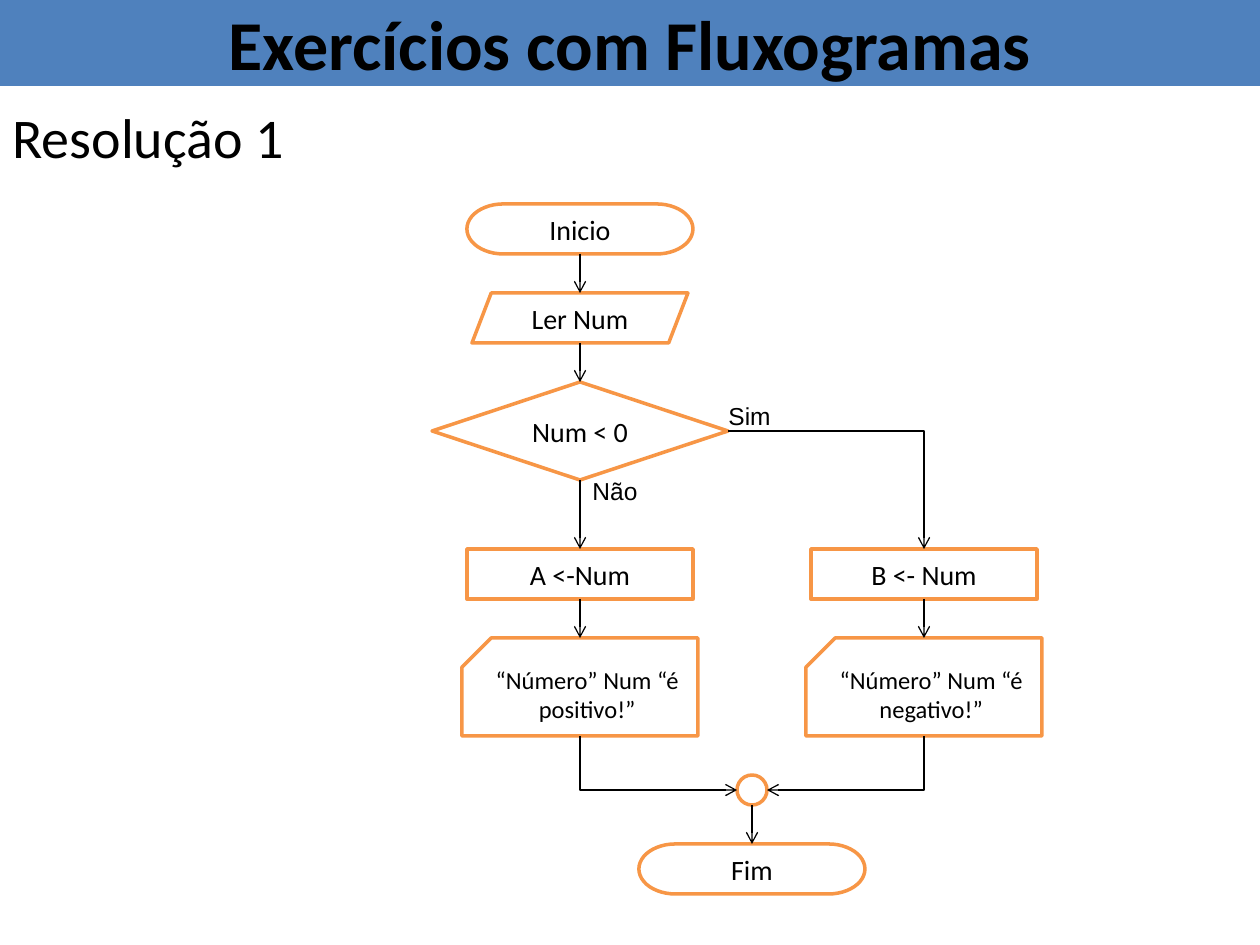
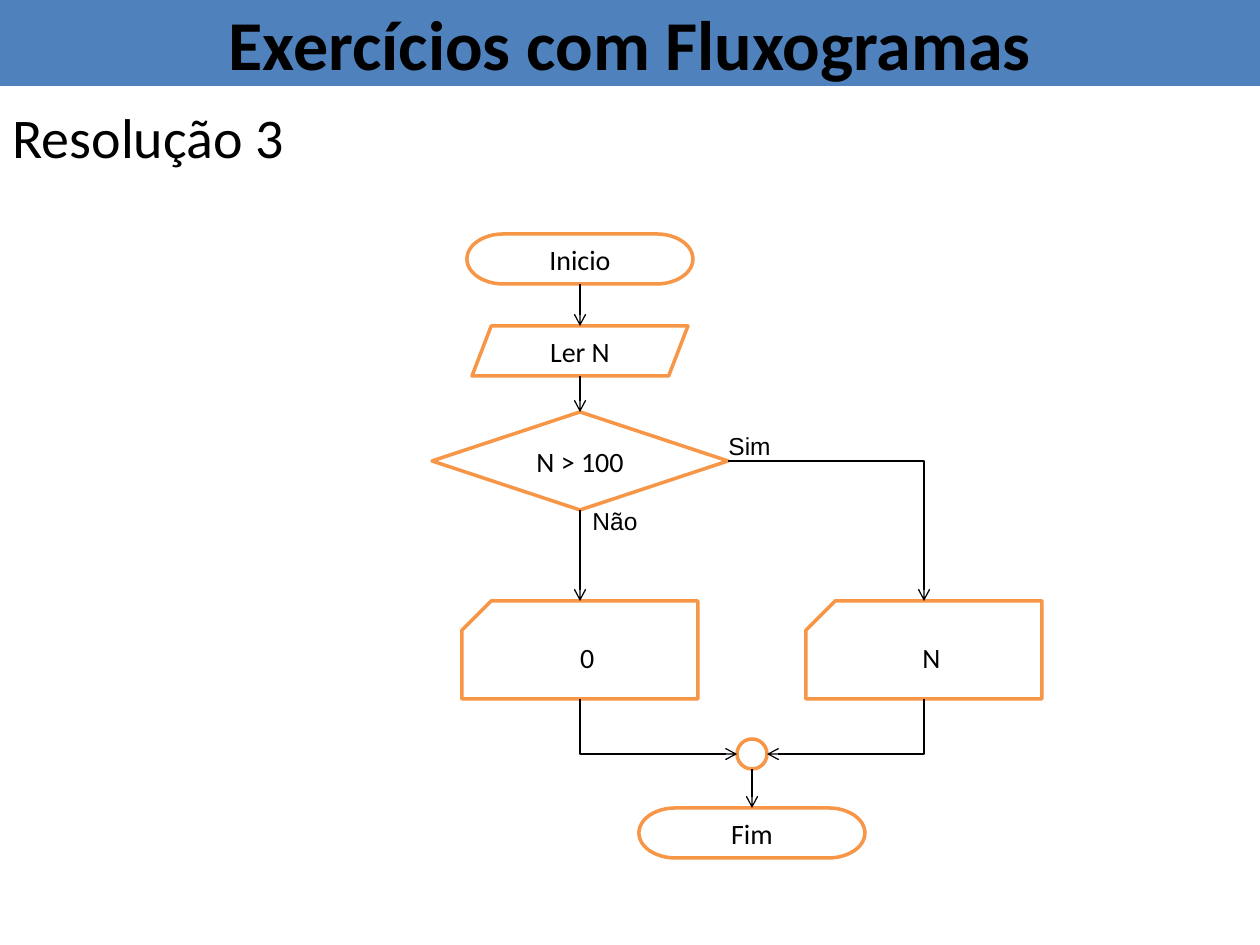
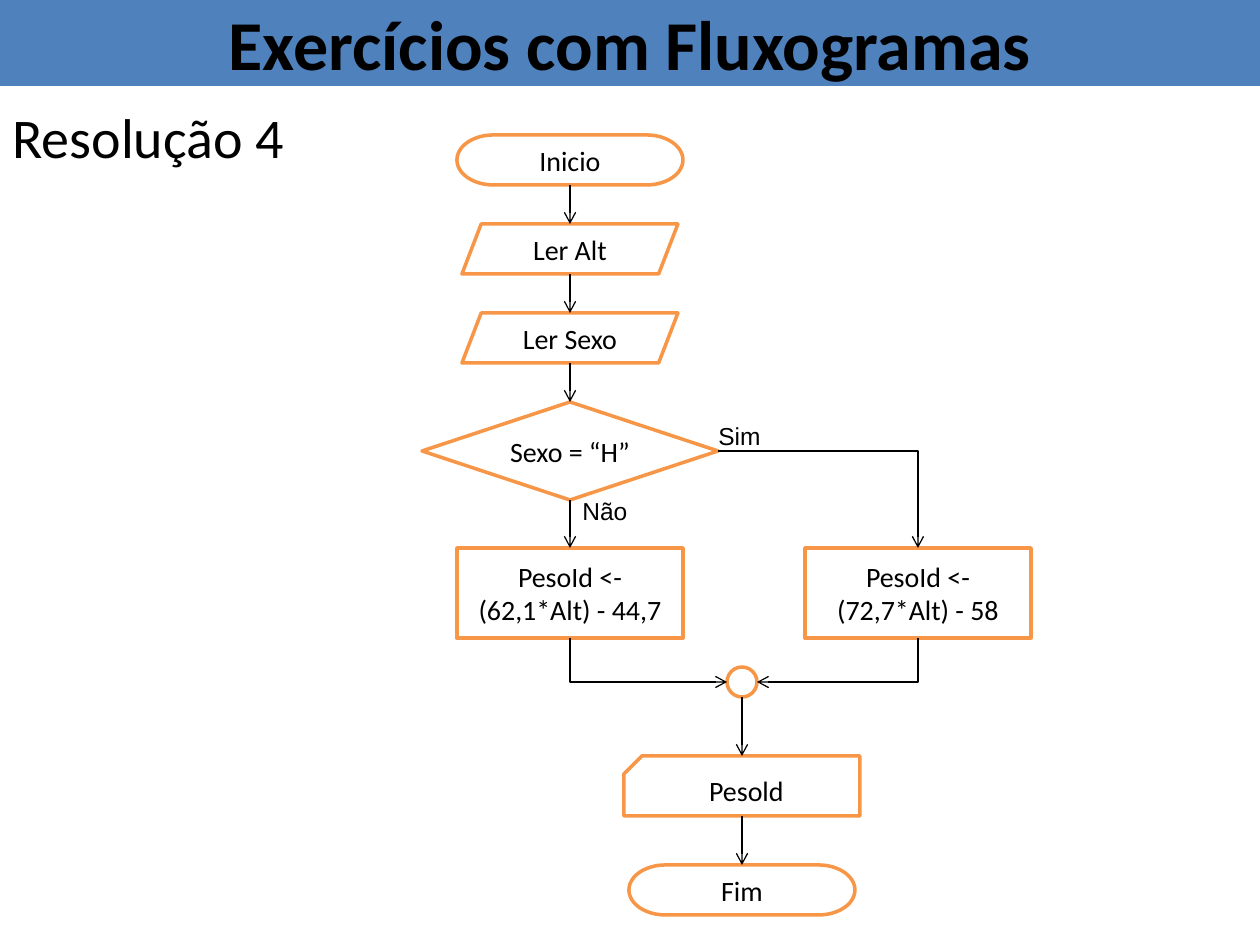
from dataclasses import dataclass

from lxml.etree import SubElement
from pptx import Presentation
from pptx.dml.color import RGBColor
from pptx.enum.shapes import MSO_CONNECTOR, MSO_SHAPE
from pptx.enum.text import MSO_ANCHOR, MSO_AUTO_SIZE, PP_ALIGN
from pptx.oxml.ns import qn
from pptx.util import Emu, Pt

STRAIGHT = MSO_CONNECTOR.STRAIGHT
ELBOW = MSO_CONNECTOR.ELBOW
RECTANGLE = MSO_SHAPE.RECTANGLE
TERMINATOR = MSO_SHAPE.FLOWCHART_TERMINATOR
DECISION = MSO_SHAPE.FLOWCHART_DECISION
PROCESS = MSO_SHAPE.FLOWCHART_PROCESS
JUNCTION = MSO_SHAPE.FLOWCHART_CONNECTOR
INPUT = MSO_SHAPE.PARALLELOGRAM
CARD = MSO_SHAPE.SNIP_1_RECTANGLE
CENTER = PP_ALIGN.CENTER
LEFT = PP_ALIGN.LEFT
MIDDLE = MSO_ANCHOR.MIDDLE
GROW = MSO_AUTO_SIZE.SHAPE_TO_FIT_TEXT
TOP_SITE, BOTTOM_SITE = 0, 2


@dataclass(frozen=True)
class Theme:
    band: RGBColor = RGBColor(0x4F, 0x81, 0xBD)
    outline: RGBColor = RGBColor(0xF7, 0x96, 0x46)
    paper: RGBColor = RGBColor(0xFF, 0xFF, 0xFF)
    ink: RGBColor = RGBColor(0, 0, 0)
    face: str = "Calibri"
    label_face: str = "Arial"
    title: int = 40
    heading: int = 32
    step: int = 16
    small: int = 14
    outline_width: float = 2
    arrow_width: float = 0.75


THEME = Theme()
TITLE = "Exercícios com Fluxogramas"

# kind: (shape, width px, height px, text size, adjustment)
KINDS = {
    "terminal": (TERMINATOR, 226, 50, THEME.step, None),
    "input": (INPUT, 216, 50, THEME.step, 0.385),
    "decision": (DECISION, 296, 98, THEME.step, None),
    "process": (PROCESS, 226, 50, THEME.step, None),
    "formula": (PROCESS, 226, 90, THEME.step, None),
    "output": (CARD, 236, 98, THEME.step, 0.298),
    "message": (CARD, 236, 98, THEME.small, 0.298),
    "result": (CARD, 236, 60, THEME.step, 0.298),
    "junction": (JUNCTION, 30, 30, THEME.step, None),
}
JOINABLE = {"terminal", "decision", "process", "formula"}

# Each step is (gap above in px, kind, text); a branch step has a "Não" and a "Sim" text.
# centers holds the x of the "Não" column, the "Sim" column and the ending.
CHARTS = [
    {
        "heading": "Resolução 1",
        "top": 204,
        "centers": (580, 924, 752),
        "stem": [(0, "terminal", "Inicio"), (39, "input", "Ler Num"),
                 (39, "decision", "Num < 0")],
        "branches": [(69, "process", "A <-Num", "B <- Num"),
                     (39, "message", "“Número” Num “é positivo!”",
                      "“Número” Num “é negativo!”")],
        "ending": [(39, "junction", ""), (39, "terminal", "Fim")],
    },
    {
        "heading": "Resolução 3",
        "top": 234,
        "centers": (580, 924, 752),
        "stem": [(0, "terminal", "Inicio"), (42, "input", "Ler N"),
                 (36, "decision", "N > 100")],
        "branches": [(91, "output", "0", "N")],
        "ending": [(40, "junction", ""), (39, "terminal", "Fim")],
    },
    {
        "heading": "Resolução 4",
        "top": 135,
        "centers": (570, 918, 742),
        "stem": [(0, "terminal", "Inicio"), (39, "input", "Ler Alt"),
                 (39, "input", "Ler Sexo"), (39, "decision", "Sexo = “H”")],
        "branches": [(48, "formula", "PesoId <- (62,1*Alt) - 44,7",
                      "PesoId <- (72,7*Alt) - 58")],
        "ending": [(29, "junction", ""), (59, "result", "Pesold"),
                   (49, "terminal", "Fim")],
    },
]


@dataclass
class Step:
    """A drawn step with its place in px."""
    shape: object
    kind: str
    center: int
    top: int
    width: int
    height: int

    @property
    def middle(self):
        return self.top + self.height // 2

    @property
    def bottom(self):
        return self.top + self.height


def px(length):
    return Emu(round(length * 914400 / 126))


def box(*lengths):
    return [px(length) for length in lengths]


def write(frame, text, size, face=THEME.face, align=CENTER, bold=False):
    frame.text = text
    paragraph = frame.paragraphs[0]
    paragraph.alignment = align
    font = paragraph.font
    font.name, font.size, font.bold = face, Pt(size), bold
    font.color.rgb = THEME.ink


def add_title(slide):
    band = slide.shapes.add_shape(RECTANGLE, *box(0, 0, 1260, 86))
    band.shadow.inherit = False
    band.fill.solid()
    band.fill.fore_color.rgb = THEME.band
    band.line.fill.background()
    band.text_frame.vertical_anchor = MIDDLE
    write(band.text_frame, TITLE, THEME.title, bold=True)


def add_heading(slide, text):
    frame = slide.shapes.add_textbox(*box(0, 96, 1216, 100)).text_frame
    frame.word_wrap = True
    paragraph = frame.paragraphs[0]
    paragraph.space_before = Pt(0.2 * THEME.heading)
    properties = paragraph._p.get_or_add_pPr()
    properties.set("marL", str(px(48)))
    properties.set("indent", str(px(-48)))
    bullet_color = SubElement(properties, qn("a:buClr"))
    SubElement(bullet_color, qn("a:srgbClr"), val=str(THEME.band))
    SubElement(properties, qn("a:buFont"), typeface=THEME.label_face)
    SubElement(properties, qn("a:buChar"), char="➢")
    write(frame, text, THEME.heading, align=LEFT)


def add_label(slide, text, left, top, width):
    label = slide.shapes.add_textbox(*box(left, top, width, 42))
    label.text_frame.word_wrap = False
    label.text_frame.auto_size = GROW
    write(label.text_frame, text, THEME.small, THEME.label_face, LEFT)


def add_step(slide, kind, text, center, top):
    preset, width, height, size, adjustment = KINDS[kind]
    shape = slide.shapes.add_shape(preset, *box(center - width // 2, top, width, height))
    shape.shadow.inherit = False
    shape.fill.solid()
    shape.fill.fore_color.rgb = THEME.paper
    shape.line.color.rgb = THEME.outline
    shape.line.width = Pt(THEME.outline_width)
    if adjustment is not None:
        shape.adjustments[0] = adjustment
    if preset == CARD:
        shape._element.spPr.find(qn("a:xfrm")).set("flipH", "1")
    if text:
        shape.text_frame.vertical_anchor = MIDDLE
        write(shape.text_frame, text, size)
    return Step(shape, kind, center, top, width, height)


def style_arrow(arrow):
    arrow.line.color.rgb = THEME.ink
    arrow.line.width = Pt(THEME.arrow_width)
    properties = arrow._element.spPr
    SubElement(properties.find(qn("a:ln")), qn("a:tailEnd"), type="arrow")
    SubElement(properties, qn("a:effectLst"))


def link_down(slide, upper, lower):
    arrow = slide.shapes.add_connector(
        STRAIGHT, *box(upper.center, upper.bottom, lower.center, lower.top))
    if upper.kind in JOINABLE:
        arrow.begin_connect(upper.shape, BOTTOM_SITE)
    if lower.kind in JOINABLE:
        arrow.end_connect(lower.shape, TOP_SITE)
    style_arrow(arrow)


def link_corner(slide, start, end, down_first):
    """Draw an arrow with one right-angled turn; end lies below start."""
    (x1, y1), (x2, y2) = start, end
    width, height = abs(x2 - x1), y2 - y1
    middle_x, middle_y = (x1 + x2) / 2, (y1 + y2) / 2
    if down_first:
        width, height = height, width
    left, top = middle_x - width / 2, middle_y - height / 2
    arrow = slide.shapes.add_connector(ELBOW, *box(left, top, left + width, top + height))
    properties = arrow._element.spPr
    properties.find(qn("a:prstGeom")).set("prst", "bentConnector2")
    if down_first:
        quarter_turns = 1 if x2 < x1 else 3
        frame = properties.find(qn("a:xfrm"))
        frame.set("rot", str(quarter_turns * 90 * 60000))
        if x2 > x1:
            frame.set("flipH", "1")
    style_arrow(arrow)


def add_column(slide, steps, center, top):
    """Stack the steps below top, linked by arrows."""
    column = []
    for gap, kind, text in steps:
        step = add_step(slide, kind, text, center, top + gap)
        if column:
            link_down(slide, column[-1], step)
        column.append(step)
        top = step.bottom
    return column


def add_flowchart(slide, chart):
    no_center, yes_center, end_center = chart["centers"]
    decision = add_column(slide, chart["stem"], no_center, chart["top"])[-1]
    no_steps = [(gap, kind, no) for gap, kind, no, yes in chart["branches"]]
    yes_steps = [(gap, kind, yes) for gap, kind, no, yes in chart["branches"]]
    no_column = add_column(slide, no_steps, no_center, decision.bottom)
    yes_column = add_column(slide, yes_steps, yes_center, decision.bottom)
    junction = add_column(slide, chart["ending"], end_center, no_column[-1].bottom)[0]

    decision_right = decision.center + decision.width // 2
    link_down(slide, decision, no_column[0])
    link_corner(slide, (decision_right, decision.middle),
                (yes_center, yes_column[0].top), down_first=False)
    for column, side in ((no_column, -1), (yes_column, 1)):
        last = column[-1]
        link_corner(slide, (last.center, last.bottom),
                    (junction.center + side * junction.width // 2, junction.middle),
                    down_first=True)
    add_label(slide, "Sim", decision_right - 12, decision.middle - 36, 68)
    add_label(slide, "Não", decision.center, decision.bottom - 10, 71)


def main():
    deck = Presentation()
    deck.slide_width, deck.slide_height = box(1260, 945)
    blank = deck.slide_layouts[6]
    for chart in CHARTS:
        slide = deck.slides.add_slide(blank)
        add_title(slide)
        add_heading(slide, chart["heading"])
        add_flowchart(slide, chart)
    deck.save("out.pptx")


if __name__ == "__main__":
    main()
